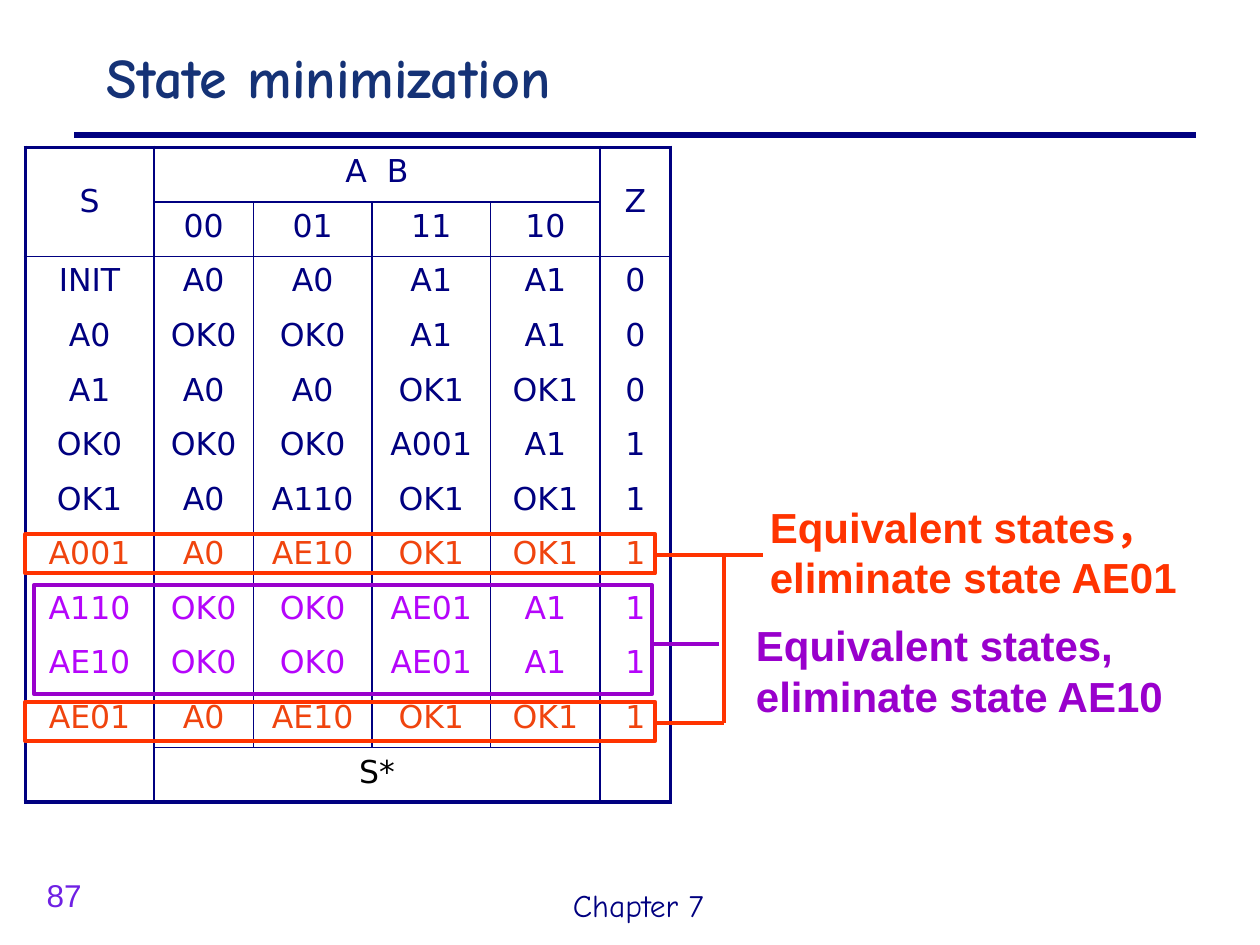
from dataclasses import dataclass

import lxml.etree
import pptx
import pptx.dml.color
import pptx.enum.shapes
import pptx.enum.text
import pptx.oxml.ns
import pptx.util

Cm = pptx.util.Cm
Pt = pptx.util.Pt
RGBColor = pptx.dml.color.RGBColor
qn = pptx.oxml.ns.qn
Anchor = pptx.enum.text.MSO_ANCHOR
Align = pptx.enum.text.PP_ALIGN

NAVY = RGBColor(0x00, 0x00, 0x80)
TITLE_BLUE = RGBColor(0x15, 0x32, 0x76)
NUMBER_VIOLET = RGBColor(0x6F, 0x20, 0xE4)
ORANGE = RGBColor(0xFF, 0x33, 0x00)
PURPLE = RGBColor(0x99, 0x00, 0xCC)
ROW_ORANGE = RGBColor(0xF0, 0x44, 0x0E)
ROW_PURPLE = RGBColor(0xB5, 0x05, 0xFB)
BLACK = RGBColor(0x00, 0x00, 0x00)

THIN, THICK = 1, 2.25
ROW_HEIGHT = 1.1
COLUMN_WIDTHS = (2.59, 2.01, 2.39, 2.39, 2.21, 1.42)
STATE_ROWS = (
    ("S", "A  B", "", "", "", "Z"),
    ("", "00", "01", "11", "10", ""),
    ("INIT", "A0", "A0", "A1", "A1", "0"),
    ("A0", "OK0", "OK0", "A1", "A1", "0"),
    ("A1", "A0", "A0", "OK1", "OK1", "0"),
    ("OK0", "OK0", "OK0", "A001", "A1", "1"),
    ("OK1", "A0", "A110", "OK1", "OK1", "1"),
    ("A001", "A0", "AE10", "OK1", "OK1", "1"),
    ("A110", "OK0", "OK0", "AE01", "A1", "1"),
    ("AE10", "OK0", "OK0", "AE01", "A1", "1"),
    ("AE01", "A0", "AE10", "OK1", "OK1", "1"),
    ("", "S*", "", "", "", ""),
)
ROW_COLORS = {7: ROW_ORANGE, 8: ROW_PURPLE, 9: ROW_PURPLE, 10: ROW_ORANGE, 11: BLACK}
MERGES = (((0, 0), (1, 0)), ((0, 1), (0, 4)), ((0, 5), (1, 5)), ((11, 1), (11, 4)))


@dataclass
class Label:
    text: str
    box: tuple[float, float, float, float]
    font: str
    size: float
    color: RGBColor
    bold: bool = False


@dataclass
class Line:
    start: tuple[float, float]
    end: tuple[float, float]
    color: RGBColor
    width: float = 2.25


@dataclass
class Frame:
    box: tuple[float, float, float, float]
    color: RGBColor


LINES = (
    Line((1.5, 2.72), (24.1, 2.72), NAVY, 3),
    Line((13.16, 12.98), (14.5, 12.98), PURPLE),
    Line((13.21, 14.58), (14.6, 14.58), ORANGE),
    Line((13.21, 11.18), (15.39, 11.18), ORANGE),
    Line((14.6, 14.58), (14.6, 11.18), ORANGE),
)
FRAMES = (
    Frame((0.69, 11.79, 12.45, 2.21), PURPLE),
    Frame((0.51, 10.77, 12.7, 0.79), ORANGE),
    Frame((0.51, 14.15, 12.7, 0.79), ORANGE),
)
TITLE = Label("State minimization", (1.9, 0.53, 22.2, 2.01), "Comic Neue", 32, TITLE_BLUE, True)
LABELS = (
    Label("Chapter 7", (11.3, 17.73, 3.61, 1.02), "Comic Neue", 18, NAVY),
    Label("87", (0.69, 17.53, 1.8, 1.02), "Arial", 18, NUMBER_VIOLET),
    Label("Equivalent states, eliminate state AE10", (14.99, 12.37, 9.4, 2.29),
          "Arial", 24, PURPLE, True),
    Label("Equivalent states，eliminate state AE01", (15.27, 9.98, 9.19, 2.29),
          "Arial", 24, ORANGE, True),
)


def write_text(text_frame, label: Label, alignment=Align.LEFT) -> None:
    paragraph = text_frame.paragraphs[0]
    paragraph.alignment = alignment
    run = paragraph.add_run()
    run.text = label.text
    values = {"name": label.font, "size": Pt(label.size), "bold": label.bold}
    for name, value in values.items():
        setattr(run.font, name, value)
    run.font.color.rgb = label.color


def draw_title(slide, label: Label) -> None:
    title = slide.shapes.title
    for name, value in zip(("left", "top", "width", "height"), label.box):
        setattr(title, name, Cm(value))
    title.text_frame.vertical_anchor = Anchor.MIDDLE
    write_text(title.text_frame, label)


def draw_label(slide, label: Label) -> None:
    text_frame = slide.shapes.add_textbox(*map(Cm, label.box)).text_frame
    text_frame.word_wrap = True
    write_text(text_frame, label)


def draw_line(slide, line: Line) -> None:
    connector = slide.shapes.add_connector(
        pptx.enum.shapes.MSO_CONNECTOR.STRAIGHT, *map(Cm, line.start + line.end))
    connector.line.color.rgb = line.color
    connector.line.width = Pt(line.width)
    lxml.etree.SubElement(connector._element.spPr, qn("a:effectLst"))


def draw_frame(slide, frame: Frame) -> None:
    shape = slide.shapes.add_shape(
        pptx.enum.shapes.MSO_SHAPE.RECTANGLE, *map(Cm, frame.box))
    shape.shadow.inherit = False
    shape.fill.background()
    shape.line.color.rgb = frame.color
    shape.line.width = Pt(2.25)


def horizontal_width(boundary: int, column: int) -> float:
    """Width of the rule above the row with this index; 0 means no rule."""
    if boundary in (0, len(STATE_ROWS)):
        return THICK
    inner_rule = boundary in (1, len(STATE_ROWS) - 1) and 1 <= column <= 4
    return THIN if boundary == 2 or inner_rule else 0


def vertical_width(boundary: int) -> float:
    return THICK if boundary in (0, len(COLUMN_WIDTHS)) else THIN


def set_borders(cell, row: int, column: int) -> None:
    last_row = row + (cell.span_height if cell.is_merge_origin else 1)
    last_column = column + (cell.span_width if cell.is_merge_origin else 1)
    widths = {
        "a:lnL": vertical_width(column),
        "a:lnR": vertical_width(last_column),
        "a:lnT": horizontal_width(row, column),
        "a:lnB": horizontal_width(last_row, column),
    }
    properties = cell._tc.get_or_add_tcPr()
    for tag, width in widths.items():
        border = lxml.etree.SubElement(properties, qn(tag), w=str(int(Pt(width))))
        if width:
            fill = lxml.etree.SubElement(border, qn("a:solidFill"))
            lxml.etree.SubElement(fill, qn("a:srgbClr"), val=str(NAVY))
        else:
            lxml.etree.SubElement(border, qn("a:noFill"))


def draw_state_table(slide) -> None:
    table = slide.shapes.add_table(
        len(STATE_ROWS), len(COLUMN_WIDTHS), Cm(0.51), Cm(2.97),
        Cm(sum(COLUMN_WIDTHS)), Cm(ROW_HEIGHT * len(STATE_ROWS))).table
    table.first_row = table.horz_banding = False
    for column, width in zip(table.columns, COLUMN_WIDTHS):
        column.width = Cm(width)
    for row in table.rows:
        row.height = Cm(ROW_HEIGHT)
    for first, last in MERGES:
        table.cell(*first).merge(table.cell(*last))
    for row, texts in enumerate(STATE_ROWS):
        for column, text in enumerate(texts):
            cell = table.cell(row, column)
            set_borders(cell, row, column)
            cell.fill.background()
            if cell.is_merge_origin and cell.span_height > 1:
                cell.vertical_anchor = Anchor.MIDDLE
            if text:
                color = ROW_COLORS.get(row, NAVY)
                write_text(cell.text_frame, Label(text, (0, 0, 0, 0), "DejaVu Sans", 18, color),
                           Align.CENTER)


def main() -> None:
    presentation = pptx.Presentation()
    presentation.slide_width, presentation.slide_height = Cm(25.4), Cm(19.05)
    slide = presentation.slides.add_slide(presentation.slide_layouts[5])

    # Title and state table
    draw_title(slide, TITLE)
    draw_state_table(slide)

    # Marks around equivalent states, with their connecting lines
    for frame in FRAMES:
        draw_frame(slide, frame)
    for line in LINES:
        draw_line(slide, line)

    # Footer and remarks
    for label in LABELS:
        draw_label(slide, label)
    presentation.save("out.pptx")


if __name__ == "__main__":
    main()
